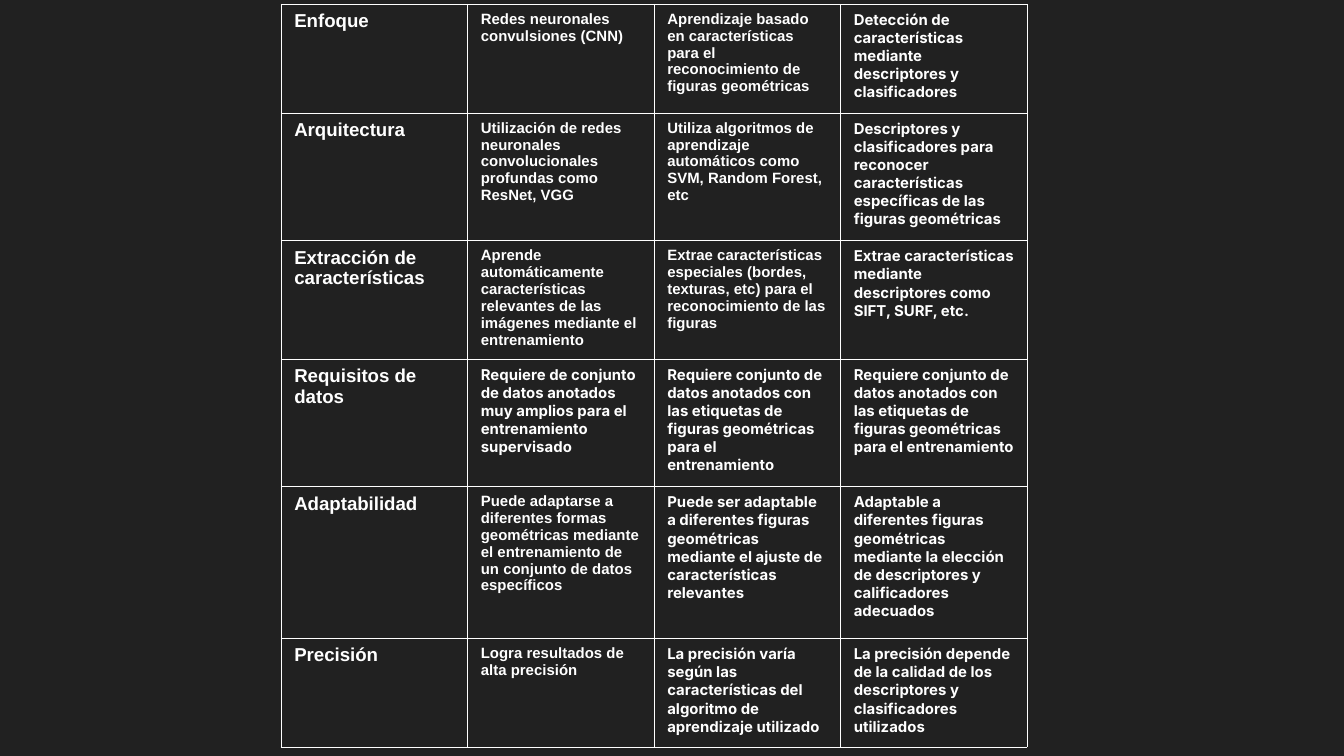
from lxml import etree
from pptx import Presentation
from pptx import util as u
from pptx.dml import color
from pptx.oxml import ns

COLORS = {"background": "212121", "ink": "FFFFFF"}
ROW_HEIGHTS = [0.81, 0.95, 0.88, 0.95, 1.13, 0.81]
TABLE_WIDTH = 5.55
DATA_NEEDS = ("Requiere conjunto de datos anotados con las etiquetas de "
              "figuras geométricas para el entrenamiento")

COMPARISON = [
    (["Enfoque",
      "Redes neuronales convulsiones (CNN)",
      "Aprendizaje basado en características para el reconocimiento de figuras geométricas",
      "Detección de características mediante descriptores y clasificadores"], 3),
    (["Arquitectura",
      "Utilización de redes neuronales convolucionales profundas como ResNet, VGG",
      "Utiliza algoritmos de aprendizaje automáticos como SVM, Random Forest, etc",
      "Descriptores y clasificadores para reconocer características específicas de las figuras geométricas"], 3),
    (["Extracción de características",
      "Aprende automáticamente características relevantes de las imágenes mediante el entrenamiento",
      "Extrae características especiales (bordes, texturas, etc) para el reconocimiento de las figuras",
      "Extrae características mediante descriptores como SIFT, SURF, etc."], 3),
    (["Requisitos de datos",
      "Requiere de conjunto de datos anotados muy amplios para el entrenamiento supervisado",
      DATA_NEEDS,
      DATA_NEEDS], 1),
    (["Adaptabilidad",
      "Puede adaptarse a diferentes formas geométricas mediante el entrenamiento de un conjunto de datos específicos",
      "Puede ser adaptable a diferentes figuras geométricas mediante el ajuste de características relevantes",
      "Adaptable a diferentes figuras geométricas mediante la elección de descriptores y calificadores adecuados"], 2),
    (["Precisión",
      "Logra resultados de alta precisión",
      "La precisión varía según las características del algoritmo de aprendizaje utilizado",
      "La precisión depende de la calidad de los descriptores y clasificadores utilizados"], 2),
]


class SlideBuilder:
    def __init__(self, slide, colors):
        self.slide = slide
        self.colors = colors

    def rgb(self, name):
        return color.RGBColor.from_string(self.colors[name])

    def background(self):
        fill = self.slide.background.fill
        fill.solid()
        fill.fore_color.rgb = self.rgb("background")

    def borders(self, cell, width):
        properties = cell._tc.get_or_add_tcPr()
        for side in ("a:lnL", "a:lnR", "a:lnT", "a:lnB"):
            line = etree.SubElement(properties, ns.qn(side), w=str(int(u.Pt(width))))
            fill = etree.SubElement(line, ns.qn("a:solidFill"))
            etree.SubElement(fill, ns.qn("a:srgbClr"), val=self.colors["ink"])

    def cell(self, cell, words, size, font, right_margin):
        cell.margin_left = u.Inches(0.1)
        cell.margin_right = u.Inches(right_margin)
        cell.margin_top = cell.margin_bottom = u.Inches(0.05)
        self.borders(cell, 0.06)
        cell.fill.background()
        run = cell.text_frame.paragraphs[0].add_run()
        run.text = words
        run.font.size = u.Pt(size)
        run.font.name = font
        run.font.bold = True
        run.font.color.rgb = self.rgb("ink")

    def table(self, left, top, entries, width, row_heights):
        column_count = len(entries[0][0])
        grid = self.slide.shapes.add_table(
            len(entries), column_count, u.Inches(left), u.Inches(top),
            u.Inches(width), u.Inches(sum(row_heights))).table
        grid.first_row = grid.horz_banding = False
        for column in grid.columns:
            column.width = u.Inches(width / column_count)
        for r, (texts, arial_count) in enumerate(entries):
            grid.rows[r].height = u.Inches(row_heights[r])
            for c, words in enumerate(texts):
                self.cell(grid.cell(r, c), words,
                          size=8 if c else 10,
                          font="Arial" if c < arial_count else "Inter",
                          right_margin=0.09 if c == column_count - 1 else 0.1)


def main():
    deck = Presentation()
    deck.slide_width = u.Inches(10)
    deck.slide_height = u.Inches(10 * 9 / 16)
    builder = SlideBuilder(deck.slides.add_slide(deck.slide_layouts[6]), COLORS)
    builder.background()
    builder.table(2.09, 0.03, COMPARISON, TABLE_WIDTH, ROW_HEIGHTS)
    deck.save("out.pptx")


if __name__ == "__main__":
    main()
